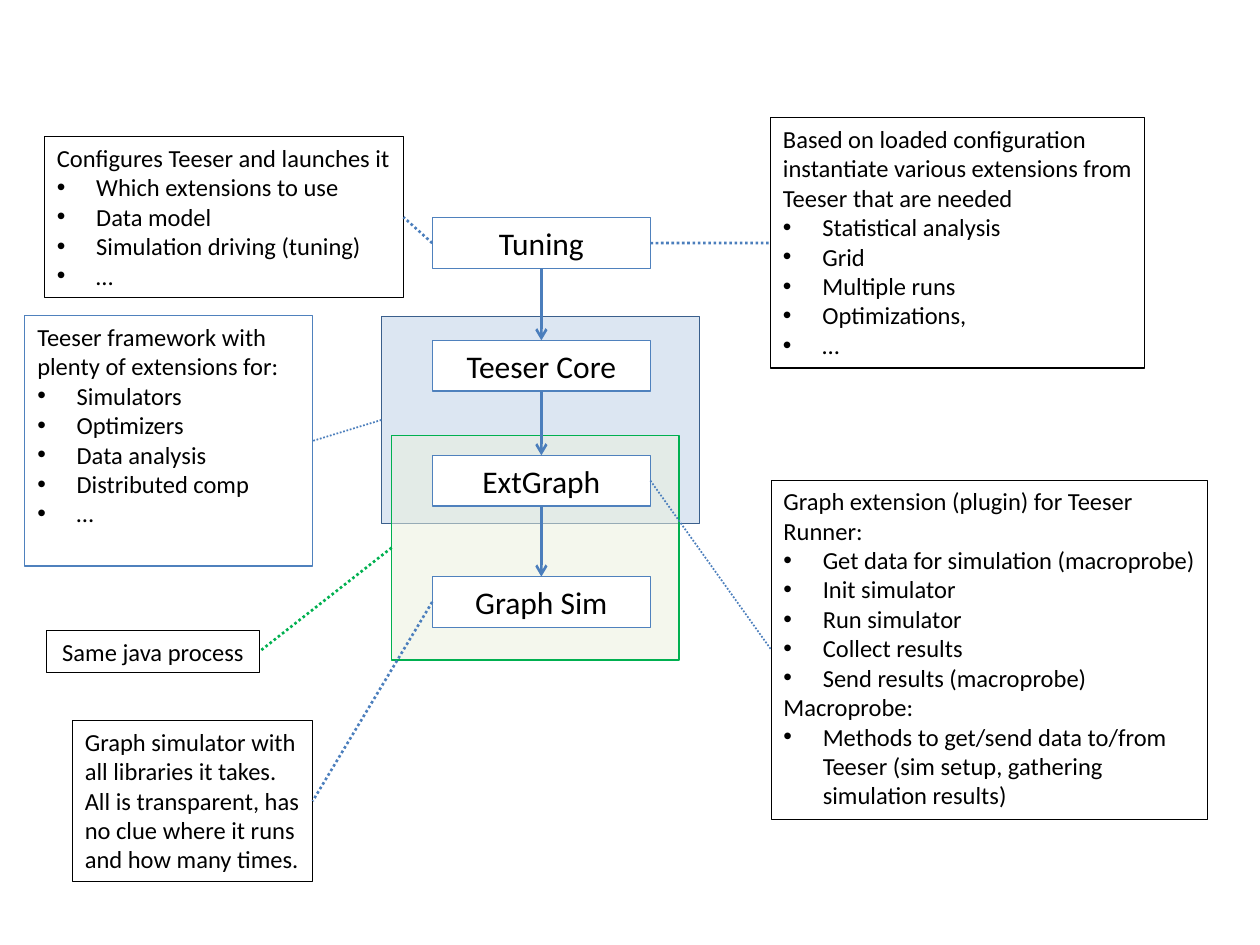
from lxml.etree import SubElement
from pptx import Presentation
from pptx.dml.color import RGBColor
from pptx.enum.dml import MSO_LINE_DASH_STYLE as Dash
from pptx.enum.shapes import MSO_CONNECTOR as Connector, MSO_SHAPE as Preset
from pptx.enum.text import MSO_ANCHOR as Anchor, PP_ALIGN as Align
from pptx.oxml.ns import qn
from pptx.util import Pt

BLUE, ARROW_BLUE, GREEN, BLACK = "4F81BD", "4B7EBC", "00B050", "000000"
TOP, LEFT, BOTTOM, RIGHT = range(4)
BULLET = "•"
INDENT = 22.5

REGIONS = [
    ("framework area", (217.9, 180.7, 181.7, 118.6), "DCE6F2", 100, "3A5F8C"),
    ("process area", (223.8, 248.8, 164.3, 128.4), "EBF1DE", 52, GREEN),
]
STAGE_LEFT, STAGE_WIDTH, STAGE_HEIGHT = 247, 124.7, 29
STAGES = [("Tuning", 124.4), ("Teeser Core", 194.5), ("ExtGraph", 260.2), ("Graph Sim", 329.5)]

NOTES = [
    ("extension note", (440.6, 274.3, 249.4, 193.7), BLACK, 0.25, Align.LEFT, 4, [
        "Graph extension (plugin) for Teeser", "Runner:",
        "• Get data for simulation (macroprobe)", "• Init simulator", "• Run simulator",
        "• Collect results", "• Send results (macroprobe)", "Macroprobe:",
        "• Methods to get/send data to/from Teeser (sim setup, gathering simulation results)"]),
    ("framework note", (14.2, 180.4, 164.5, 143.1), BLUE, 0.75, Align.LEFT, 7.2, [
        "Teeser framework with plenty of extensions for:", "• Simulators", "• Optimizers",
        "• Data analysis", "• Distributed comp", "• …"]),
    ("process note", (26.6, 360.2, 121.7, 24.2), BLACK, 0.75, Align.CENTER, 7.2,
        ["Same java process"]),
    ("simulator note", (41.4, 411.7, 137.3, 92.1), BLACK, 0.75, Align.LEFT, 7.2, [
        "Graph simulator with all libraries it takes. All is transparent, "
        "has no clue where it runs and how many times."]),
    ("configuration note", (25.4, 78.1, 205.2, 92.1), BLACK, 0.75, Align.LEFT, 7.2, [
        "Configures Teeser and launches it", "• Which extensions to use", "• Data model",
        "• Simulation driving (tuning)", "• …"]),
    ("loading note", (440.3, 67.3, 213.7, 143.1), BLACK, 0.75, Align.LEFT, 7.2, [
        "Based on loaded configuration instantiate various extensions from Teeser that are needed",
        "• Statistical analysis", "• Grid", "• Multiple runs", "• Optimizations,", "• …"]),
]
LINKS = [
    ("ExtGraph", RIGHT, "extension note", LEFT, ARROW_BLUE, 1),
    ("framework area", LEFT, "framework note", RIGHT, ARROW_BLUE, 1),
    ("process area", LEFT, "process note", RIGHT, GREEN, 1.5),
    ("Graph Sim", LEFT, "simulator note", RIGHT, ARROW_BLUE, 1.5),
    ("Tuning", LEFT, "configuration note", RIGHT, ARROW_BLUE, 1.5),
    ("Tuning", RIGHT, "loading note", LEFT, ARROW_BLUE, 1.5),
]

presentation = Presentation()
presentation.slide_width, presentation.slide_height = Pt(720), Pt(540)
slide = presentation.slides.add_slide(presentation.slide_layouts[6])
boxes = {}


def color(value):
    return RGBColor.from_string(value)


def add_box(name, bounds, fill, line, width=0.75):
    shape = slide.shapes.add_shape(Preset.RECTANGLE, *map(Pt, bounds))
    shape.shadow.inherit = False
    if fill:
        shape.fill.solid()
        shape.fill.fore_color.rgb = color(fill)
    else:
        shape.fill.background()
    shape.line.color.rgb = color(line)
    shape.line.width = Pt(width)
    boxes[name] = shape
    return shape


def add_bullet(paragraph):
    properties = paragraph._p.get_or_add_pPr()
    properties.set("marL", str(Pt(INDENT)))
    properties.set("indent", str(-Pt(INDENT)))
    SubElement(properties, qn("a:buFont"), typeface="Arial")
    SubElement(properties, qn("a:buChar"), char=BULLET)


def write(shape, lines, size, alignment, right_inset=7.2):
    frame = shape.text_frame
    frame.word_wrap = True
    frame.vertical_anchor = Anchor.TOP
    frame.margin_right = Pt(right_inset)
    for index, line in enumerate(lines):
        paragraph = frame.add_paragraph() if index else frame.paragraphs[0]
        paragraph.alignment = alignment
        if line.startswith(BULLET):
            add_bullet(paragraph)
        run = paragraph.add_run()
        run.text = line.removeprefix(BULLET + " ")
        run.font.name, run.font.size = "Calibri", Pt(size)
        run.font.color.rgb = color(BLACK)


def connect(start, start_site, end, end_site, line, width):
    connector = slide.shapes.add_connector(Connector.STRAIGHT, 0, 0, 0, 0)
    connector.begin_connect(boxes[start], start_site)
    connector.end_connect(boxes[end], end_site)
    connector.line.color.rgb = color(line)
    connector.line.width = Pt(width)
    SubElement(connector._element.spPr, qn("a:effectLst"))
    return connector


for name, bounds, fill, opacity, line in REGIONS:
    region = add_box(name, bounds, fill, line)
    if opacity < 100:
        fill_color = region._element.spPr.find(qn("a:solidFill"))[0]
        SubElement(fill_color, qn("a:alpha"), val=str(opacity * 1000))

for name, top in STAGES:
    stage = add_box(name, (STAGE_LEFT, top, STAGE_WIDTH, STAGE_HEIGHT), "FFFFFF", BLUE)
    write(stage, [name], 18, Align.CENTER)

for (upper, _), (lower, _) in zip(STAGES, STAGES[1:]):
    arrow = connect(upper, BOTTOM, lower, TOP, ARROW_BLUE, 1.5)
    SubElement(arrow.line._get_or_add_ln(), qn("a:tailEnd"), type="arrow")

for name, bounds, line, width, alignment, right_inset, lines in NOTES:
    write(add_box(name, bounds, None, line, width), lines, 14, alignment, right_inset)

for link in LINKS:
    connect(*link).line.dash_style = Dash.ROUND_DOT

presentation.save("out.pptx")
